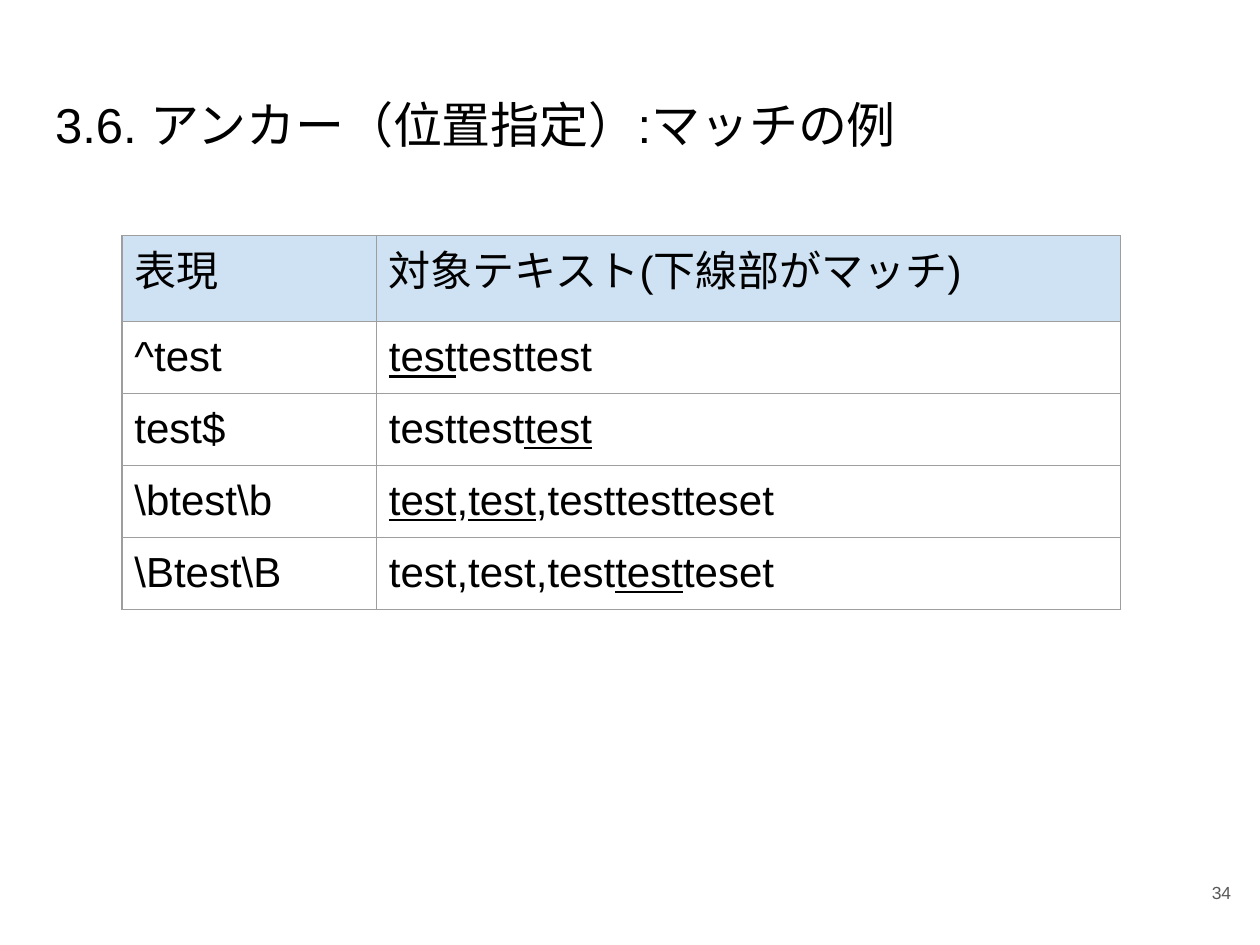
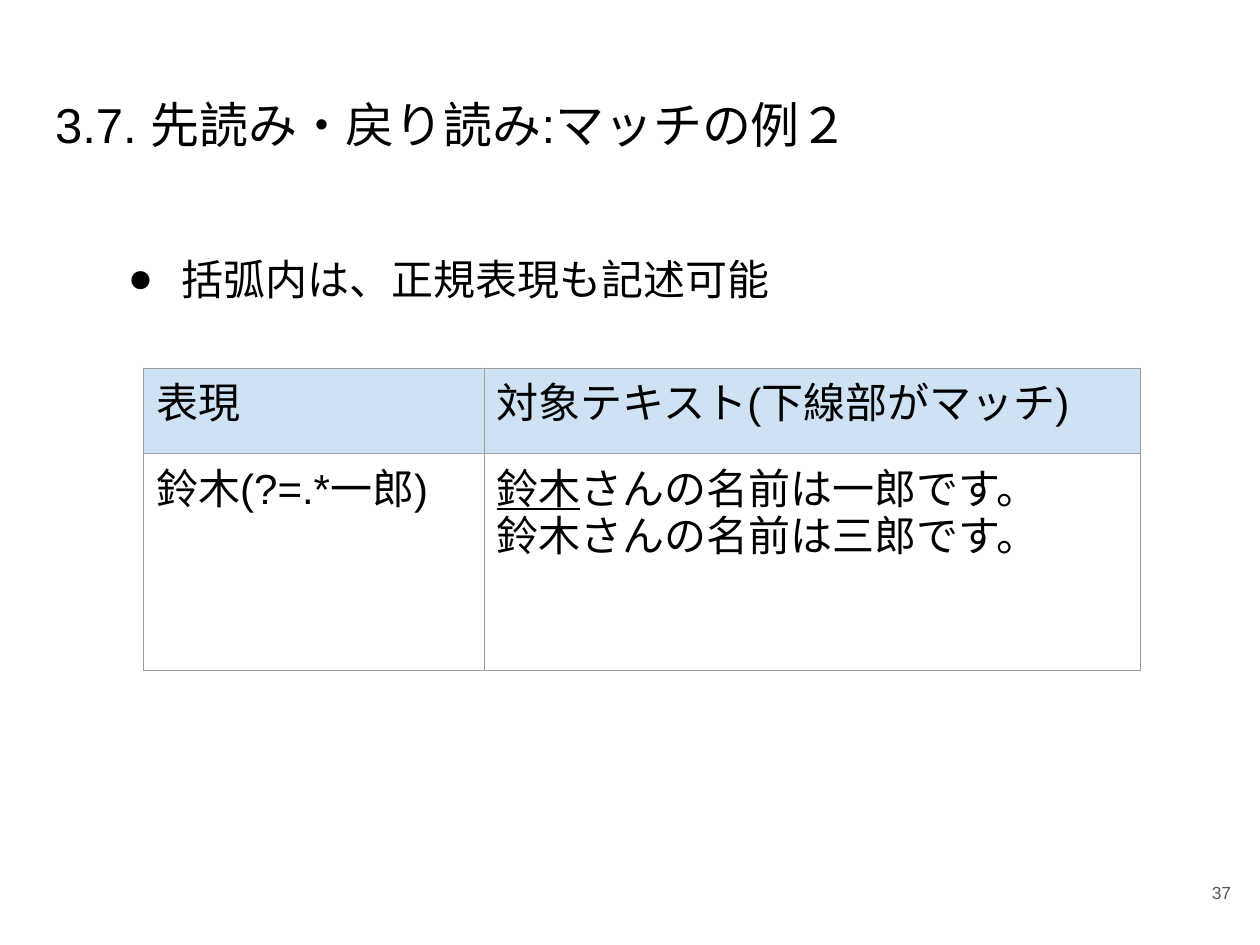
"""Build two slides on regular expression anchors and lookaround."""
from lxml.etree import SubElement
from pptx import Presentation
from pptx.dml.color import RGBColor
from pptx.enum.text import MSO_ANCHOR, MSO_AUTO_SIZE, PP_ALIGN
from pptx.oxml import parse_xml
from pptx.oxml.ns import nsdecls, qn
from pptx.util import Cm, Pt

FONT = "Arial"
INK, GREY, RULE, HEAD = "000000", "595959", "9E9E9E", "CFE2F3"
PAD = 0.25
TITLE = (0.86, 1.65, 23.67, 2.11)
BODY = (2.13, 4.85, 18.87, 2.36)
PAGE = (23.55, 17.27, 1.52, 1.45)
HEADS = ["表現", "対象テキスト(下線部がマッチ)"]

# Underscores enclose underlined text; a newline starts a paragraph.
SLIDES = [
    dict(
        title="3.6. アンカー（位置指定）:マッチの例",
        page="34",
        point=None,
        spot=(2.46, 4.75),
        cols=(5.13, 14.99),
        tall=1.45,
        rows=[
            ("^test", "_test_testtest"),
            ("test$", "testtest_test_"),
            (r"\btest\b", "_test_,_test_,testtestteset"),
            (r"\Btest\B", "test,test,test_test_teset"),
        ],
    ),
    dict(
        title="3.7. 先読み・戻り読み:マッチの例２",
        page="37",
        point="括弧内は、正規表現も記述可能",
        spot=(2.9, 7.42),
        cols=(6.86, 13.23),
        tall=4.37,
        rows=[("鈴木(?=.*一郎)",
               "_鈴木_さんの名前は一郎です。\n鈴木さんの名前は三郎です。")],
    ),
]


def tint(code):
    return RGBColor.from_string(code)


def write(para, text, size, code=INK, align=PP_ALIGN.LEFT):
    para.alignment = align
    para.space_before = Pt(0)
    for num, part in enumerate(text.split("_")):
        if not part:
            continue
        run = para.add_run()
        run.text = part
        font = run.font
        font.size, font.name = Pt(size), FONT
        font.color.rgb = tint(code)
        if num % 2:
            font.underline = True
        SubElement(font._element, qn("a:ea"), typeface=FONT)


def pad(item):
    item.margin_left = item.margin_right = Cm(PAD)
    item.margin_top = item.margin_bottom = Cm(PAD)


def place(shape, box, anchor=MSO_ANCHOR.TOP):
    shape.left, shape.top, shape.width, shape.height = map(Cm, box)
    frame = shape.text_frame
    frame.word_wrap = True
    frame.auto_size = MSO_AUTO_SIZE.NONE
    frame.vertical_anchor = anchor
    pad(frame)
    return frame.paragraphs[0]


def mark(para):
    props = para._p.get_or_add_pPr()
    props.set("marL", str(Cm(1.27)))
    props.set("indent", str(Cm(-1.07)))
    color = SubElement(props, qn("a:buClr"))
    SubElement(color, qn("a:srgbClr"), val=INK)
    SubElement(props, qn("a:buFont"), typeface=FONT)
    SubElement(props, qn("a:buChar"), char="●")


def border(cell):
    props = cell._tc.get_or_add_tcPr()
    for num, side in enumerate("LRTB"):
        props.insert(num, parse_xml(
            f'<a:ln{side} {nsdecls("a")} w="{Pt(0.75)}"><a:solidFill>'
            f'<a:srgbClr val="{RULE}"/></a:solidFill></a:ln{side}>'))


def fill(cell, text, head):
    pad(cell)
    if head:
        cell.fill.solid()
        cell.fill.fore_color.rgb = tint(HEAD)
    else:
        cell.fill.background()
    border(cell)
    frame = cell.text_frame
    for num, line in enumerate(text.split("\n")):
        write(frame.add_paragraph() if num else frame.paragraphs[0], line, 24)


def grid(slide, data):
    rows = [HEADS] + data["rows"]
    highs = [1.73] + [data["tall"]] * len(data["rows"])
    cols = data["cols"]
    box = map(Cm, (*data["spot"], sum(cols), sum(highs)))
    table = slide.shapes.add_table(len(rows), len(cols), *box).table
    table.first_row = table.horz_banding = False
    for col, wide in zip(table.columns, cols):
        col.width = Cm(wide)
    for num, (row, high) in enumerate(zip(table.rows, highs)):
        row.height = Cm(high)
        for cell, text in zip(row.cells, rows[num]):
            fill(cell, text, num == 0)


def build(deck, data):
    point = data["point"]
    slide = deck.slides.add_slide(deck.slide_layouts[1 if point else 5])
    write(place(slide.shapes.title, TITLE), data["title"], 28)
    page = slide.shapes.add_textbox(*map(Cm, PAGE))
    write(place(page, PAGE, MSO_ANCHOR.MIDDLE), data["page"], 10, GREY,
          PP_ALIGN.RIGHT)
    if point:
        para = place(slide.placeholders[1], BODY)
        para.space_before = Pt(0)
        mark(para)
        write(para, point, 24)
    grid(slide, data)


def main():
    deck = Presentation()
    deck.slide_width, deck.slide_height = Cm(25.4), Cm(19.05)
    for data in SLIDES:
        build(deck, data)
    deck.save("out.pptx")


if __name__ == "__main__":
    main()
